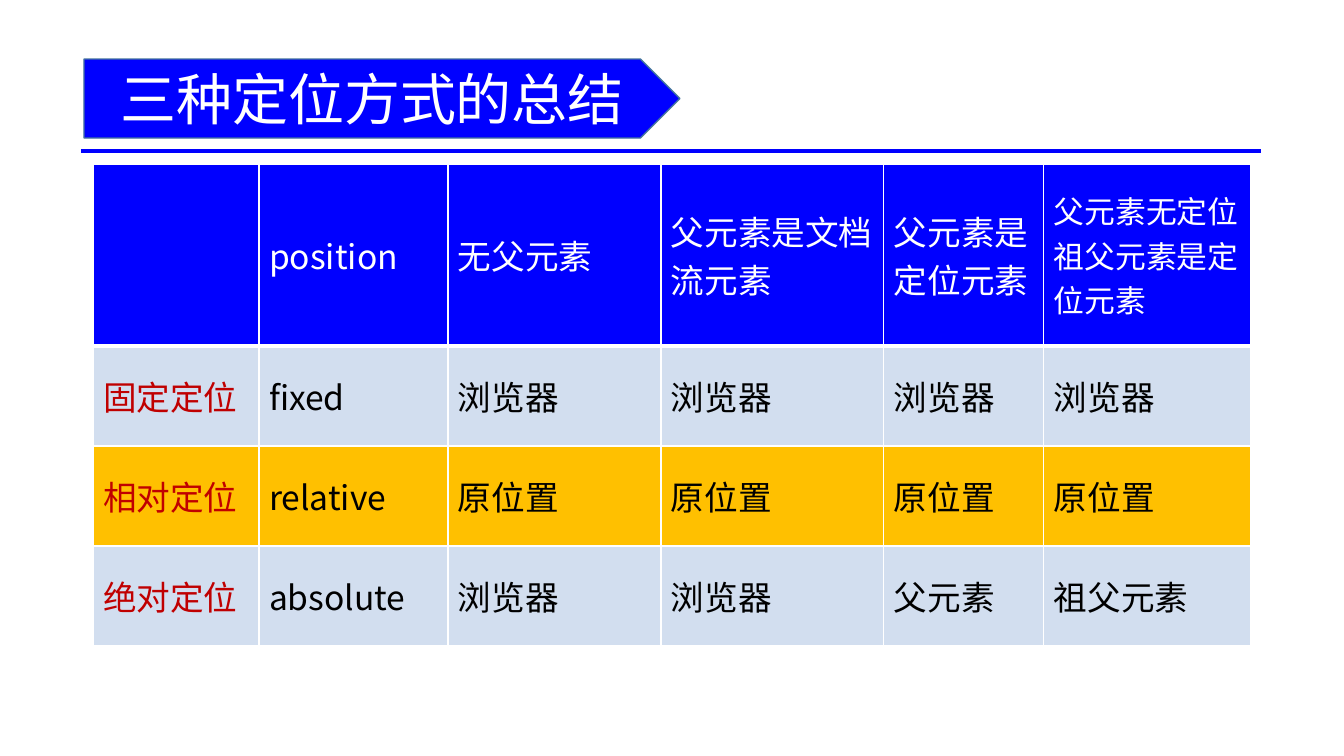
from lxml import etree
from pptx import Presentation
from pptx import util as u
from pptx.dml.color import RGBColor
from pptx.enum import shapes, text
from pptx.oxml.ns import qn

EMU_PER_PX = 914400 / 100.8
FONT = "Noto Sans CJK SC"
BLUE, WHITE, BLACK, RED = "0000FF", "FFFFFF", "000000", "C00000"
PALE, AMBER = "D2DEEF", "FFC000"

COL_WIDTHS = [166, 189, 213, 223, 160, 207]
ROW_HEIGHTS = [182, 100, 100, 100]
ROW_FILLS = [BLUE, PALE, AMBER, PALE]
ROWS = [
    ["", "position", "无父元素", "父元素是文档流元素", "父元素是定位元素",
     "父元素无定位\n祖父元素是定位元素"],
    ["固定定位", "fixed"] + ["浏览器"] * 4,
    ["相对定位", "relative"] + ["原位置"] * 4,
    ["绝对定位", "absolute", "浏览器", "浏览器", "父元素", "祖父元素"],
]


def px(n):
    return u.Emu(round(n * EMU_PER_PX))


def rgb(color):
    return RGBColor.from_string(color)


def write(tf, content, size, color, align=None):
    tf.text = content
    for p in tf.paragraphs:
        p.alignment = align
        f = p.font
        f.size, f.name = u.Pt(size), FONT
        f.color.rgb = rgb(color)
        latin = p._p.pPr.find(qn("a:defRPr")).find(qn("a:latin"))
        ea = etree.Element(qn("a:ea"), typeface=FONT)
        latin.addnext(ea)


def add_rule(s, x1, x2, y):
    line = s.shapes.add_connector(
        shapes.MSO_CONNECTOR.STRAIGHT, px(x1), px(y), px(x2), px(y))
    line.line.color.rgb = rgb(BLUE)
    line.line.width = u.Pt(3)
    etree.SubElement(line._element.spPr, qn("a:effectLst"))


def add_banner(s, content, x, y, w, h):
    sp = s.shapes.add_shape(
        shapes.MSO_SHAPE.PENTAGON, px(x), px(y), px(w), px(h))
    sp.shadow.inherit = False
    sp.fill.solid()
    sp.fill.fore_color.rgb = rgb(BLUE)
    sp.line.color.rgb = rgb("43739E")
    sp.line.width = u.Pt(1)
    tf = sp.text_frame
    tf.word_wrap = True
    tf.vertical_anchor = text.MSO_ANCHOR.MIDDLE
    write(tf, content, 40, WHITE, text.PP_ALIGN.CENTER)


def add_border(cell, side, width):
    ln = etree.SubElement(cell._tc.get_or_add_tcPr(), qn("a:ln" + side),
                          w=str(u.Pt(width)))
    fill = etree.SubElement(ln, qn("a:solidFill"))
    etree.SubElement(fill, qn("a:srgbClr"), val=WHITE)


def style_cell(cell, content, row, col):
    for side in "LRTB":
        thick = (row, side) in ((0, "B"), (1, "T"))
        add_border(cell, side, 3 if thick else 1)
    cell.fill.solid()
    cell.fill.fore_color.rgb = rgb(ROW_FILLS[row])
    cell.vertical_anchor = text.MSO_ANCHOR.MIDDLE
    color = WHITE if row == 0 else RED if col == 0 else BLACK
    write(cell.text_frame, content, 22 if "\n" in content else 24, color)


def add_summary_table(s, x, y):
    table = s.shapes.add_table(
        len(ROWS), len(COL_WIDTHS), px(x), px(y),
        px(sum(COL_WIDTHS)), px(sum(ROW_HEIGHTS))).table
    table.first_row = table.horz_banding = False
    for column, width in zip(table.columns, COL_WIDTHS):
        column.width = px(width)
    for i, (row, height) in enumerate(zip(table.rows, ROW_HEIGHTS)):
        row.height = px(height)
        for j, content in enumerate(ROWS[i]):
            style_cell(table.cell(i, j), content, i, j)


def main():
    prs = Presentation()
    prs.slide_width, prs.slide_height = px(1344), px(756)
    s = prs.slides.add_slide(prs.slide_layouts[6])
    add_rule(s, 81, 1261, 151)
    add_summary_table(s, 93, 164)
    add_banner(s, "三种定位方式的总结", 84, 59, 596, 79)
    prs.save("out.pptx")


if __name__ == "__main__":
    main()
